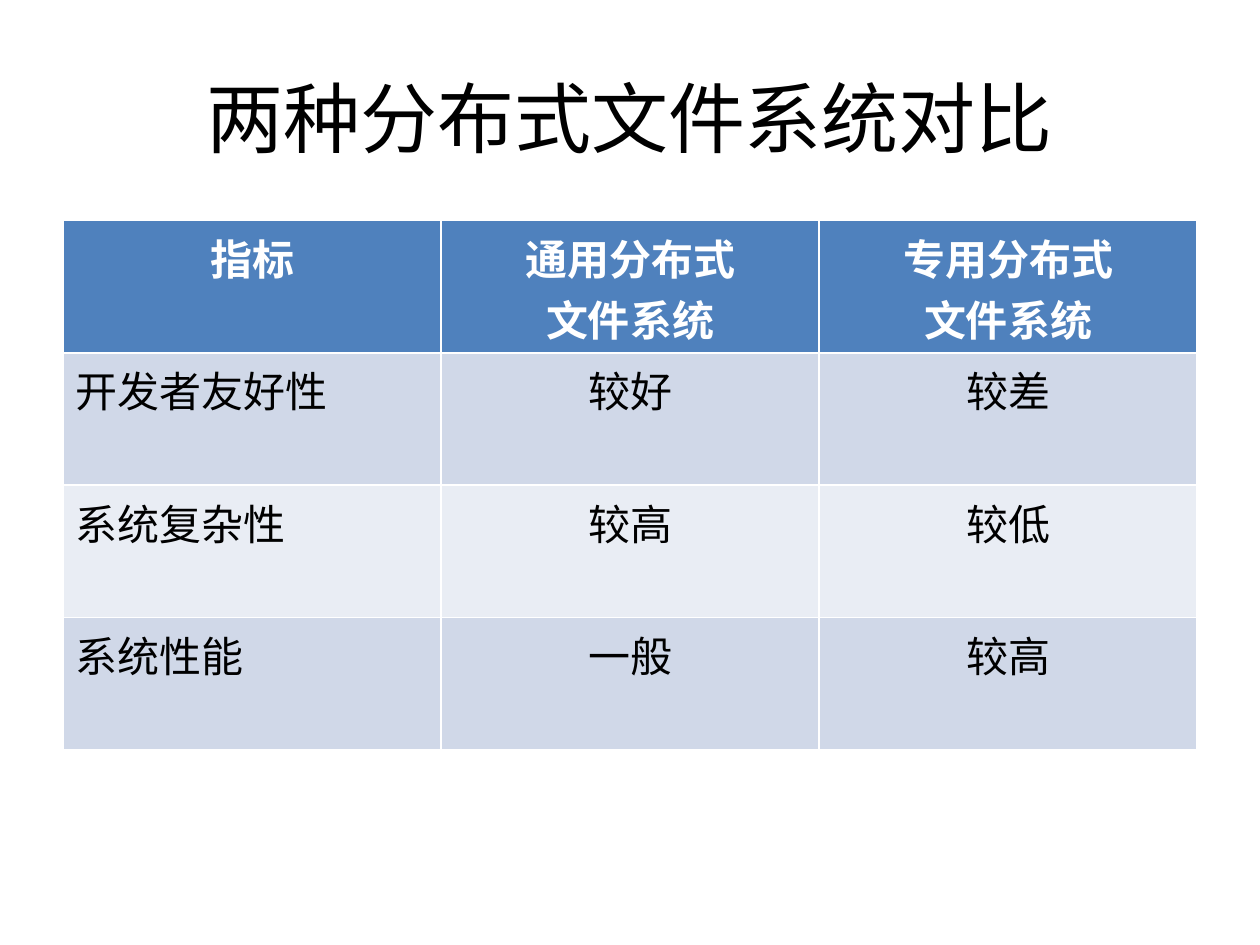
"""Build a slide comparing two kinds of distributed file systems."""
from pptx import Presentation
from pptx.dml.color import RGBColor
from pptx.enum.text import MSO_ANCHOR, PP_ALIGN
from pptx.util import Inches, Pt

LEFT, CENTER = PP_ALIGN.LEFT, PP_ALIGN.CENTER
MIDDLE = MSO_ANCHOR.MIDDLE
BLACK = RGBColor(0x00, 0x00, 0x00)
WHITE = RGBColor(0xFF, 0xFF, 0xFF)
HEADER = RGBColor(0x4F, 0x81, 0xBD)
BANDS = (RGBColor(0xE9, 0xED, 0xF4), RGBColor(0xD0, 0xD8, 0xE8))
FONT = "Calibri"

TITLE = "两种分布式文件系统对比"
ROWS = [
    ("指标", "通用分布式\n文件系统", "专用分布式\n文件系统"),
    ("开发者友好性", "较好", "较差"),
    ("系统复杂性", "较高", "较低"),
    ("系统性能", "一般", "较高"),
]
MARGIN, WIDTH = 0.5, 9
TABLE_TOP, ROW_HEIGHT = 1.75, 1.05


def write(tf, text, size, color, align, bold=False):
    tf.text = text
    for p in tf.paragraphs:
        p.alignment = align
        p.font.name = FONT
        p.font.size = Pt(size)
        p.font.bold = bold
        p.font.color.rgb = color


def add_title(s):
    sp = s.shapes.add_textbox(Inches(MARGIN), Inches(0.3), Inches(WIDTH), Inches(1.25))
    tf = sp.text_frame
    tf.word_wrap = True
    tf.vertical_anchor = MIDDLE
    write(tf, TITLE, 44, BLACK, CENTER)


def add_comparison(s):
    table = s.shapes.add_table(
        len(ROWS), len(ROWS[0]), Inches(MARGIN), Inches(TABLE_TOP),
        Inches(WIDTH), Inches(ROW_HEIGHT * len(ROWS))).table
    for i, row in enumerate(ROWS):
        is_header = i == 0
        for j, text in enumerate(row):
            cell = table.cell(i, j)
            cell.fill.solid()
            cell.fill.fore_color.rgb = HEADER if is_header else BANDS[i % 2]
            write(cell.text_frame, text, 24, WHITE if is_header else BLACK,
                  CENTER if is_header or j else LEFT, is_header)


def main():
    prs = Presentation()
    prs.slide_width, prs.slide_height = Inches(10), Inches(7.5)
    s = prs.slides.add_slide(prs.slide_layouts[6])
    add_title(s)
    add_comparison(s)
    prs.save("out.pptx")


if __name__ == "__main__":
    main()
